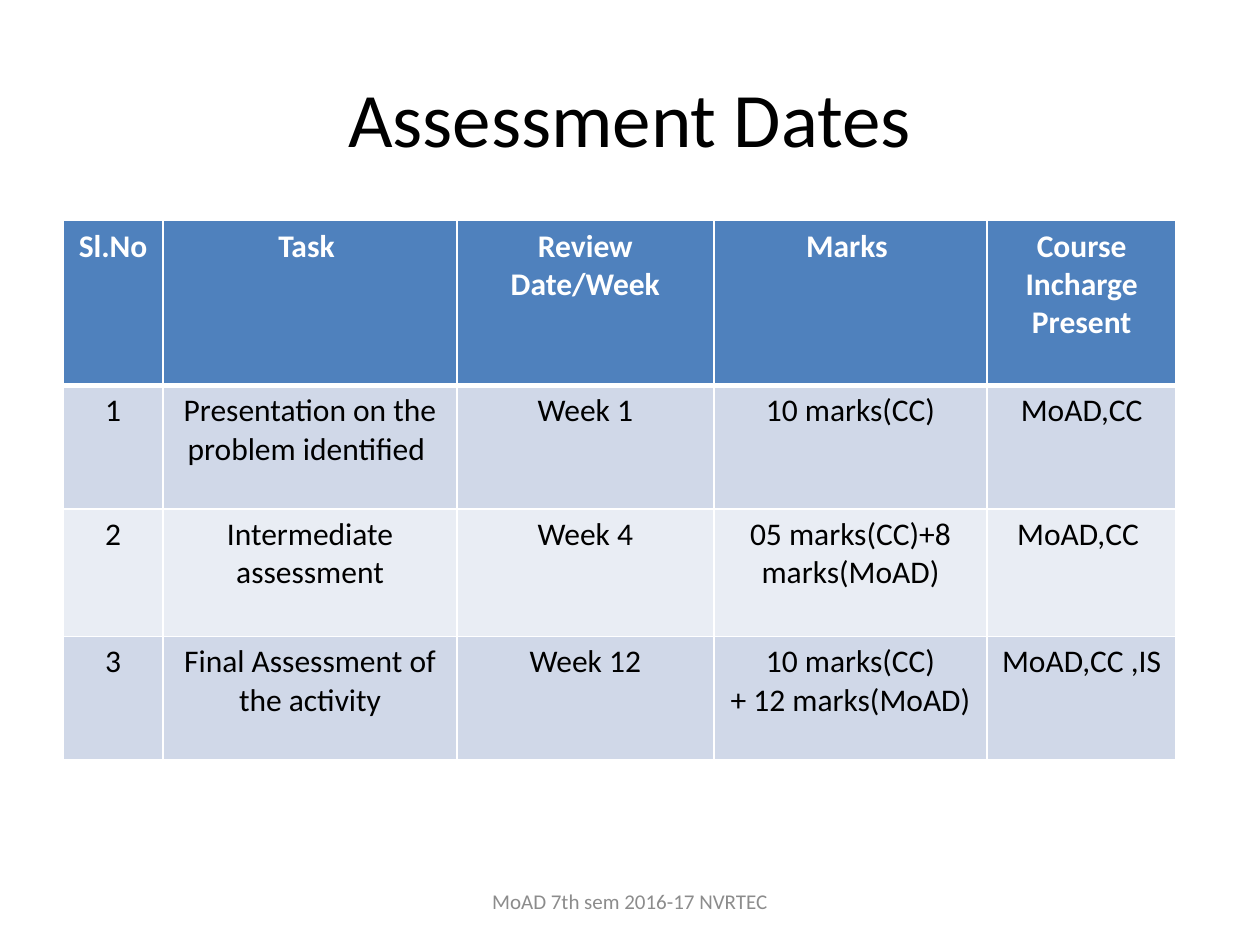
from lxml import etree
from pptx import Presentation, util as u
from pptx.dml.color import RGBColor
from pptx.enum import text
from pptx.oxml import ns

COLORS = {
    "ink": "000000", "white": "FFFFFF", "header": "4F81BD",
    "odd": "D0D8E8", "even": "E9EDF4", "footer": "8C8C8C",
}
COLUMN_WIDTHS = [2.02, 5.92, 5.18, 5.51, 3.81]
ROW_HEIGHTS = [3.32, 2.49, 2.57, 2.49]
ASSESSMENTS = [
    ["Sl.No ", "Task ", "Review Date/Week", "Marks ", "Course Incharge Present"],
    ["1", "Presentation on the problem identified ", "Week 1",
     "10 marks(CC)", "MoAD,CC"],
    ["2", "Intermediate assessment", "Week 4",
     "05 marks(CC)+8 marks(MoAD)", "MoAD,CC "],
    ["3", "Final Assessment of the activity", "Week 12",
     "10 marks(CC)\n+ 12 marks(MoAD)", "MoAD,CC ,IS"],
]


def write(frame, content, size, color, bold=False):
    """Fill a text frame with centred paragraphs, one for each line."""
    frame.text = content
    for para in frame.paragraphs:
        para.alignment = text.PP_ALIGN.CENTER
        for span in para.runs:
            for name, value in {"name": "Calibri", "size": u.Pt(size), "bold": bold}.items():
                setattr(span.font, name, value)
            span.font.color.rgb = RGBColor.from_string(COLORS[color])


def add_label(page, region, content, size, color):
    box = page.shapes.add_textbox(*map(u.Cm, region))
    frame = box.text_frame
    frame.word_wrap = True
    frame.vertical_anchor = text.MSO_ANCHOR.MIDDLE
    write(frame, content, size, color)


def add_borders(cell, top, bottom):
    """Draw white cell borders, with top and bottom widths in points."""
    properties = cell._tc.get_or_add_tcPr()
    widths = {"lnL": 1, "lnR": 1, "lnT": top, "lnB": bottom}
    for position, (side, width) in enumerate(widths.items()):
        line = etree.Element(ns.qn("a:" + side), w=str(u.Pt(width)))
        fill = etree.SubElement(line, ns.qn("a:solidFill"))
        etree.SubElement(fill, ns.qn("a:srgbClr"), val=COLORS["white"])
        properties.insert(position, line)


def add_assessment_table(page, left, top):
    region = [left, top, sum(COLUMN_WIDTHS), sum(ROW_HEIGHTS)]
    table = page.shapes.add_table(
        len(ROW_HEIGHTS), len(COLUMN_WIDTHS), *map(u.Cm, region)).table
    for column, width in zip(table.columns, COLUMN_WIDTHS):
        column.width = u.Cm(width)
    for index, (row, height, entries) in enumerate(zip(table.rows, ROW_HEIGHTS, ASSESSMENTS)):
        row.height = u.Cm(height)
        heading = index == 0
        shade = "header" if heading else "odd" if index % 2 else "even"
        for cell, entry in zip(row.cells, entries):
            write(cell.text_frame, entry, 18, "white" if heading else "ink", heading)
            cell.fill.solid()
            cell.fill.fore_color.rgb = RGBColor.from_string(COLORS[shade])
            add_borders(cell, 3 if index == 1 else 1, 3 if heading else 1)


def main():
    deck = Presentation()
    deck.slide_width, deck.slide_height = u.Cm(25.4), u.Cm(19.05)
    page = deck.slides.add_slide(deck.slide_layouts[6])
    add_label(page, [1.27, 0.76, 22.86, 3.18], "Assessment Dates", 44, "ink")
    add_assessment_table(page, 1.27, 4.45)
    add_label(page, [8.68, 17.66, 8.04, 1.01], "MoAD 7th sem 2016-17 NVRTEC", 12, "footer")
    deck.save("out.pptx")


if __name__ == "__main__":
    main()
